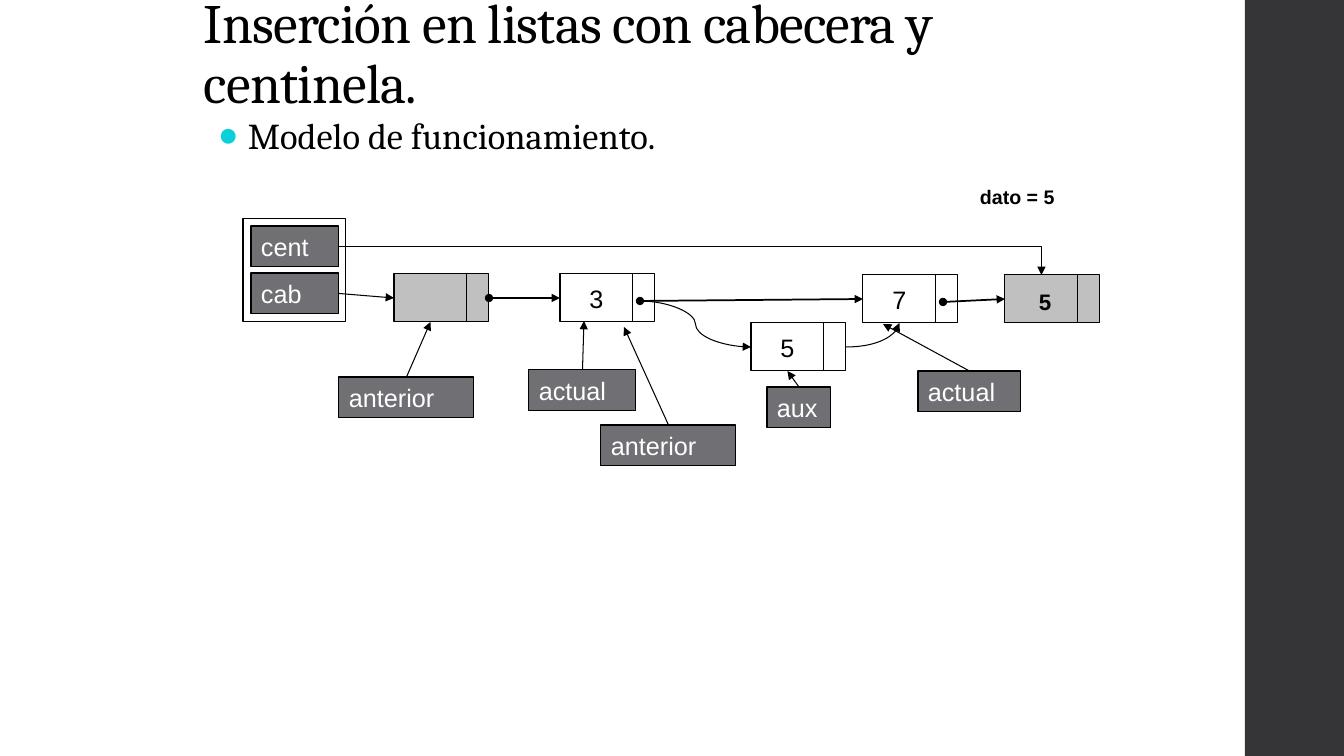
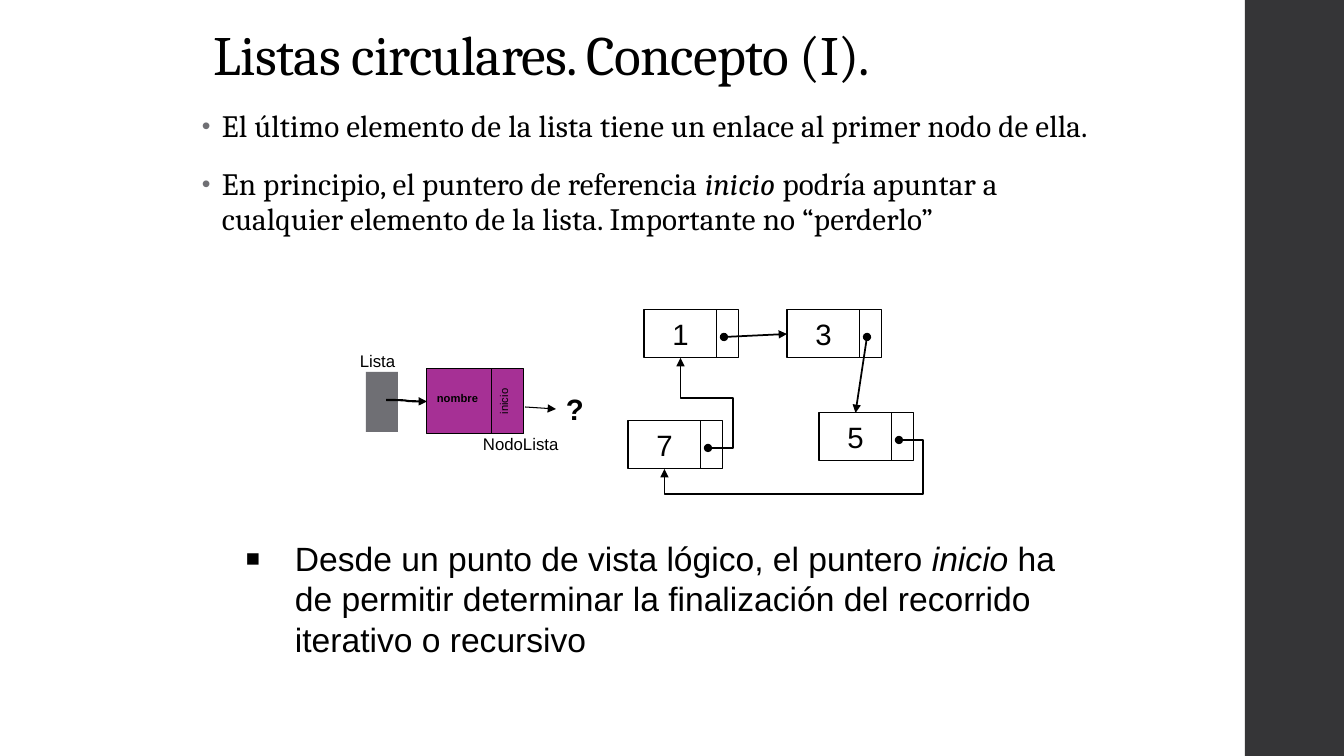
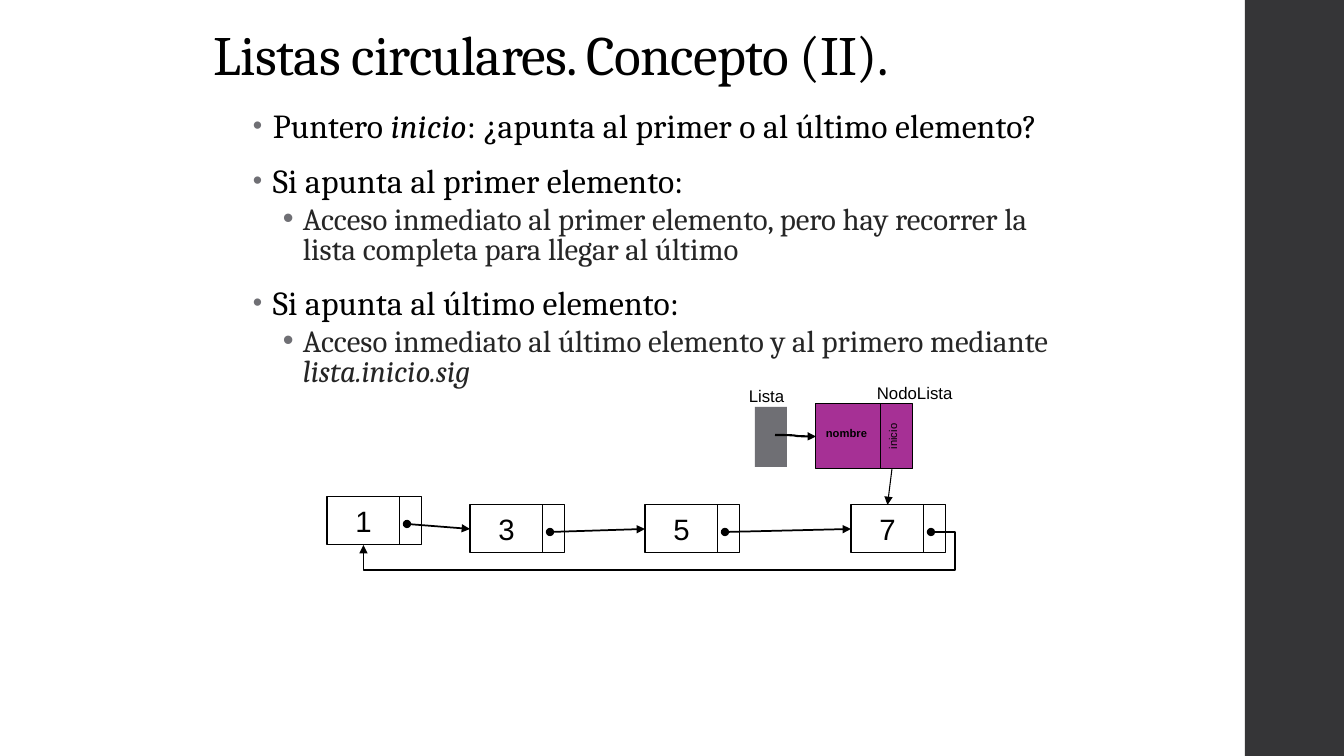
from dataclasses import dataclass

from lxml.etree import SubElement
from pptx import Presentation
from pptx.dml.color import RGBColor
from pptx.enum.shapes import MSO_CONNECTOR, MSO_SHAPE
from pptx.enum.text import MSO_ANCHOR, PP_ALIGN
from pptx.oxml.ns import qn
from pptx.util import Pt

SCALE = 914400 / 100.8
TOP, LEFT, BOTTOM, RIGHT = range(4)
DATA, LINK, TALL = 73, 22, 48


@dataclass(frozen=True)
class Theme:
    """Colours, fonts and type sizes of the deck."""
    ink: str = "000000"
    soft: str = "262626"
    white: str = "FFFFFF"
    band: str = "353537"
    tag: str = "6F6F74"
    ends: str = "C0C0C0"
    list: str = "A63095"
    teal: str = "0BD0D9"
    serif: str = "Cambria"
    sans: str = "Arial"
    title: float = 39.6
    lead: float = 26
    body: float = 24
    small: float = 22.2
    sub: float = 22
    node: float = 21
    label: float = 18
    cent: float = 16
    note: float = 14
    name: float = 12
    tiny: float = 8
    thin: float = 0.75
    bold: float = 1.25
    thick: float = 1.5


@dataclass(frozen=True)
class Style:
    """How one level of bulleted text looks."""
    size: float
    mark: str = "•"
    tint: str = "6F6F74"
    ratio: int = 80
    left: int = 20
    hang: int = 20
    lines: float = 1
    before: float = 14
    after: float = 2
    font: str = "Cambria"
    color: str = "000000"
    track: int = 10


T = Theme()
LEAD = Style(T.lead, "●", T.teal, 95, 30, 30, before=0, after=0, track=0)
POINT = Style(T.small, lines=0.95)
MAIN = Style(T.body, lines=0.8)
SUB = Style(T.sub, ratio=100, left=50, lines=0.8, before=3, after=3,
            color=T.soft, track=0)
PLAIN = Style(T.body, "■", T.ink, 70, 49, 49, before=0, after=0,
              font=T.sans, track=0)


def emu(*px):
    """Turn pixels into EMU."""
    return [round(n * SCALE) for n in px]


def rgb(code):
    """Make a colour from its hex code."""
    return RGBColor.from_string(code)


def face(para, size, color=T.ink, font=T.sans, bold=False, track=0):
    """Set the font of a whole paragraph."""
    para.font.size, para.font.name, para.font.bold = Pt(size), font, bold
    para.font.color.rgb = rgb(color)
    if track:
        para._p.pPr.find(qn("a:defRPr")).set("spc", str(track))


def rect(slide, box, fill=None, line=T.ink):
    """Draw a rectangle, hollow when no fill is given."""
    shape = slide.shapes.add_shape(MSO_SHAPE.RECTANGLE, *emu(*box))
    shape.shadow.inherit = False
    if fill:
        shape.fill.solid()
        shape.fill.fore_color.rgb = rgb(fill)
    else:
        shape.fill.background()
    if line:
        shape.line.color.rgb = rgb(line)
        shape.line.width = Pt(T.thin)
    else:
        shape.line.fill.background()
    return shape


def write(shape, text, size, color=T.ink, bold=False, align=PP_ALIGN.LEFT,
          anchor=MSO_ANCHOR.MIDDLE):
    """Put one line of text in a shape."""
    frame = shape.text_frame
    frame.word_wrap, frame.vertical_anchor = True, anchor
    para = frame.paragraphs[0]
    para.text, para.alignment = text, align
    face(para, size, color, bold=bold)
    return frame


def label(slide, box, text, size, **look):
    """Add a free line of text."""
    area = slide.shapes.add_textbox(*emu(*box))
    write(area, text, size, anchor=MSO_ANCHOR.TOP, **look)


def tag(slide, x, y, wide, text):
    """Draw the grey box that names a pointer."""
    shape = rect(slide, (x, y, wide, 41), T.tag)
    write(shape, text, T.label, T.white)
    return shape


def node(slide, x, y, text="", size=T.node, fill=None):
    """Draw a list node; return its data cell and link cell."""
    data = rect(slide, (x, y, DATA, TALL), fill)
    if text:
        write(data, text, size, align=PP_ALIGN.CENTER)
    return data, rect(slide, (x + DATA, y, LINK, TALL), fill)


def dot(cell):
    """Give the point in a link cell where its arrow starts."""
    return cell.left / SCALE + 7, cell.top / SCALE + 27


def place(end):
    """Give the point of an end: a point, or a shape and its site."""
    if not hasattr(end[0], "left"):
        return end
    shape, site = end
    across = {LEFT: 0, RIGHT: 1}.get(site, 0.5)
    down = {TOP: 0, BOTTOM: 1}.get(site, 0.5)
    return ((shape.left + across * shape.width) / SCALE,
            (shape.top + down * shape.height) / SCALE)


def arrow(slide, start, stop, width=T.thin, head=False, form="line", via=None):
    """Join two ends by an arrow; via is the far corner of a bent one."""
    (x0, y0), (x1, y1) = place(start), place(stop)
    join = slide.shapes.add_connector(MSO_CONNECTOR.STRAIGHT,
                                      *emu(x0, y0, x1, y1))
    if place(start) is not start:
        join.begin_connect(*start)
    if place(stop) is not stop:
        join.end_connect(*stop)
    join.line.color.rgb = rgb(T.ink)
    join.line.width = Pt(width)
    props = join._element.spPr
    shape = props.find(qn("a:prstGeom"))
    shape.set("prst", form)
    if via:
        turns = (via[0] - x0) / (x1 - x0), (via[1] - y0) / (y1 - y0)
        for i, turn in enumerate(turns, 1):
            SubElement(shape.find(qn("a:avLst")), qn("a:gd"), name=f"adj{i}",
                       fmla=f"val {round(turn * 100000)}")
    line = props.find(qn("a:ln"))
    if head:
        SubElement(line, qn("a:headEnd"), type="oval")
    SubElement(line, qn("a:tailEnd"), type="triangle")
    SubElement(props, qn("a:effectLst"))


def follow(slide, cell, stop, **look):
    """Draw the arrow that leaves the dot of a link cell."""
    arrow(slide, dot(cell), stop, T.bold, True, **look)


def bullets(slide, box, items):
    """Write bulleted paragraphs; asterisks enclose italics."""
    frame = slide.shapes.add_textbox(*emu(*box)).text_frame
    frame.word_wrap = True
    for i, (style, text) in enumerate(items):
        para = frame.add_paragraph() if i else frame.paragraphs[0]
        para.line_spacing = style.lines
        para.space_before, para.space_after = Pt(style.before), Pt(style.after)
        props = para._p.get_or_add_pPr()
        left, hang = emu(style.left, style.hang)
        props.set("marL", str(left))
        props.set("indent", str(-hang))
        SubElement(SubElement(props, qn("a:buClr")), qn("a:srgbClr"),
                   val=style.tint)
        SubElement(props, qn("a:buSzPct"), val=str(style.ratio * 1000))
        SubElement(props, qn("a:buFont"), typeface=T.sans)
        SubElement(props, qn("a:buChar"), char=style.mark)
        face(para, style.size, style.color, style.font, track=style.track)
        for n, part in enumerate(text.split("*")):
            if part:
                run = para.add_run()
                run.text = part
                if n % 2:
                    run.font.italic = True


def page(deck, title, box=(204, 36, 944, 56)):
    """Add a slide with the side band and a title."""
    slide = deck.slides.add_slide(deck.slide_layouts[6])
    rect(slide, (1245, 0, 99, 756), T.band, None)
    frame = slide.shapes.add_textbox(*emu(*box)).text_frame
    frame.word_wrap, frame.vertical_anchor = True, MSO_ANCHOR.BOTTOM
    para = frame.paragraphs[0]
    para.text, para.line_spacing = title, 0.9
    face(para, T.title, font=T.serif, track=-50)
    return slide


def owner(slide, x, y, name):
    """Draw the list object; name is the offset of its type label."""
    label(slide, (x - 104, y - 23, 109, 30), "Lista", T.name,
          align=PP_ALIGN.CENTER)
    rect(slide, (x - 61, y + 3, 32, 60), T.tag, None)
    data = rect(slide, (x, y, 65, 65), T.list)
    frame = write(data, "nombre", T.tiny, bold=True, anchor=MSO_ANCHOR.TOP)
    frame.margin_top, = emu(22)
    side = rect(slide, (x + 65, y, 32, 65), T.list)
    frame = write(side, "inicio", T.tiny, align=PP_ALIGN.CENTER,
                  anchor=MSO_ANCHOR.TOP)
    frame._txBody.bodyPr.set("vert", "vert270")
    arrow(slide, (x - 41, y + 31), (data, LEFT), T.thick,
          form="curvedConnector3")
    label(slide, (x + name[0], y + name[1], 109, 30), "NodoLista", T.name)


def insertion(deck):
    """Build the slide on insertion with header and sentinel."""
    slide = page(deck, "Inserción en listas con cabecera y centinela.",
                 (194, 44, 949, 76))
    bullets(slide, (208, 108, 907, 72), [(LEAD, "Modelo de funcionamiento.")])
    label(slide, (970, 180, 119, 33), "dato = 5", T.note, bold=True)

    rect(slide, (243, 219, 103, 103))
    cent = tag(slide, 251, 226, 88, "cent")
    cab = tag(slide, 251, 273, 88, "cab")
    first, exit = node(slide, 394, 274, fill=T.ends)
    three, next3 = node(slide, 560, 274, "3", T.label)
    seven, next7 = node(slide, 863, 275, "7", T.label)
    last, _ = node(slide, 1005, 275, fill=T.ends)
    five, next5 = node(slide, 751, 323, "5", T.label)
    label(slide, (1029, 283, 31, 37), "5", T.cent, bold=True)

    arrow(slide, (cent, RIGHT), (last, TOP), form="bentConnector2")
    arrow(slide, (cab, RIGHT), (first, LEFT))
    arrow(slide, (exit, RIGHT), (three, LEFT), T.bold, True)
    follow(slide, next3, (seven, LEFT))
    follow(slide, next7, (last, LEFT))
    arrow(slide, dot(next3), (five, LEFT), form="curvedConnector3")
    arrow(slide, (next5, RIGHT), (seven, BOTTOM), form="curvedConnector2")

    for x, y, wide, text, stop in (
            (339, 377, 135, "anterior", (first, BOTTOM)),
            (529, 370, 107, "actual", (584, 321)),
            (601, 425, 135, "anterior", (624, 327)),
            (918, 371, 103, "actual", (883, 324)),
            (767, 387, 64, "aux", (five, BOTTOM))):
        arrow(slide, (tag(slide, x, y, wide, text), TOP), stop)


def concept(deck):
    """Build the slide that presents the circular list."""
    slide = page(deck, "Listas circulares. Concepto (I).")
    bullets(slide, (192, 104, 932, 192), [
        (POINT, "El último elemento de la lista tiene un enlace al primer "
                "nodo de ella."),
        (POINT, "En principio, el puntero de referencia *inicio* podría "
                "apuntar a cualquier elemento de la lista. Importante no "
                "“perderlo”")])
    bullets(slide, (236, 533, 845, 135), [
        (PLAIN, "Desde un punto de vista lógico, el puntero *inicio* ha de "
                "permitir determinar la finalización del recorrido iterativo "
                "o recursivo")])

    owner(slide, 427, 369, (46, 60))
    arrow(slide, (525, 407), (556, 409))
    label(slide, (556, 386, 39, 45), "?", T.node, bold=True)

    one, next1 = node(slide, 644, 310, "1")
    three, next3 = node(slide, 787, 310, "3")
    five, next5 = node(slide, 819, 413, "5")
    seven, next7 = node(slide, 628, 421, "7")
    follow(slide, next1, (three, LEFT))
    follow(slide, next3, (five, TOP))
    follow(slide, next5, (seven, BOTTOM), form="bentConnector4",
           via=(923, 494))
    follow(slide, next7, (one, BOTTOM), form="bentConnector4", via=(733, 398))


def pointer(deck):
    """Build the slide on where the start pointer leads."""
    slide = page(deck, "Listas circulares. Concepto (II).")
    bullets(slide, (243, 108, 845, 326), [
        (MAIN, "Puntero *inicio*: ¿apunta al primer o al último elemento?"),
        (MAIN, "Si apunta al primer elemento:"),
        (SUB, "Acceso inmediato al primer elemento, pero hay recorrer la "
              "lista completa para llegar al último"),
        (MAIN, "Si apunta al último elemento:"),
        (SUB, "Acceso inmediato al último elemento y al primero mediante "
              "*lista.inicio.sig*")])

    owner(slide, 816, 404, (51, -26))
    spots = (327, 497), (470, 505), (645, 505), (851, 505)
    chain = [node(slide, *spot, text) for spot, text in zip(spots, "1357")]
    for (_, cell), (data, _) in zip(chain, chain[1:]):
        follow(slide, cell, (data, LEFT))
    follow(slide, chain[-1][1], (chain[0][0], BOTTOM), form="bentConnector4",
           via=(955, 570))
    arrow(slide, (892, 469), (chain[-1][0], TOP))


deck = Presentation()
deck.slide_width, deck.slide_height = emu(1344, 756)
for build in (insertion, concept, pointer):
    build(deck)
deck.save("out.pptx")
